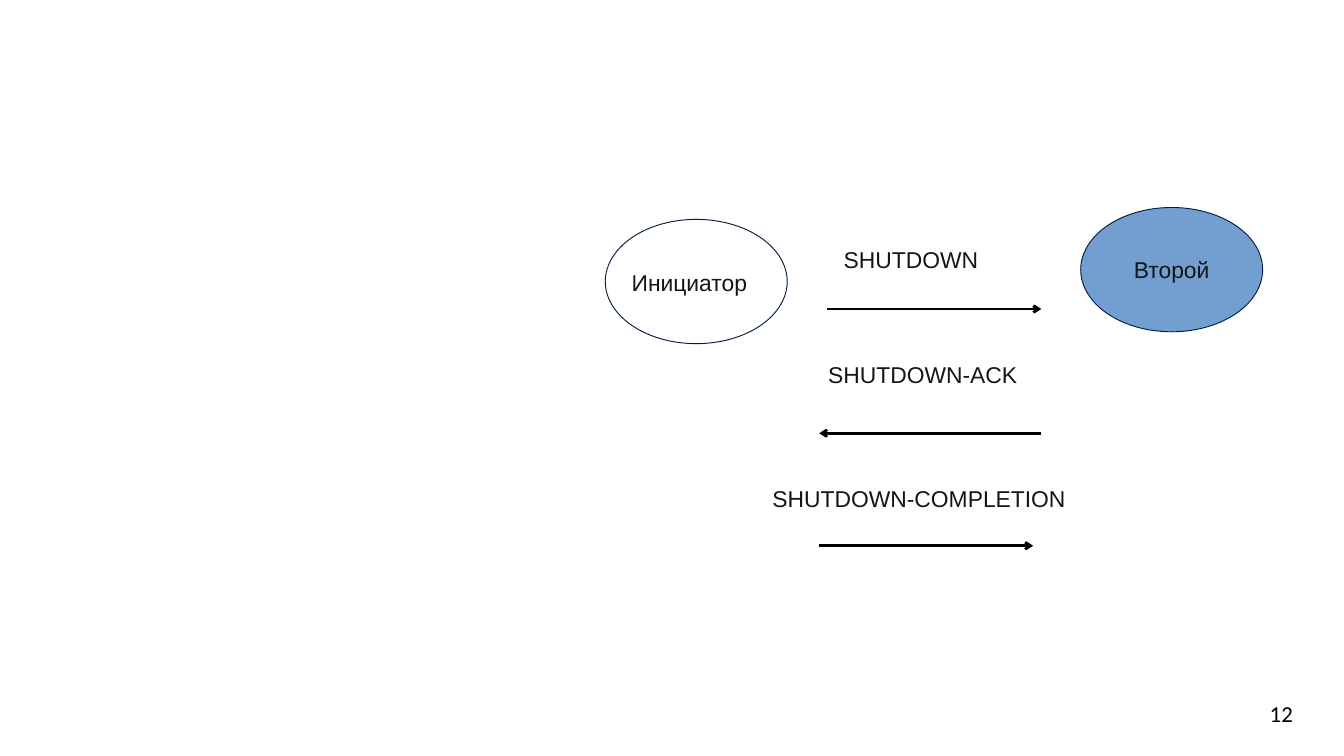
import pptx
import pptx.util
import pptx.dml.color
import pptx.enum.shapes
import pptx.enum.text
import pptx.oxml
from pptx.util import Inches

WHITE = pptx.dml.color.RGBColor(0xFF, 0xFF, 0xFF)
BLUE = pptx.dml.color.RGBColor(0x72, 0x9F, 0xCF)
NAVY = pptx.dml.color.RGBColor(0x00, 0x1E, 0x47)
INK = pptx.dml.color.RGBColor(0x13, 0x15, 0x19)
BLACK = pptx.dml.color.RGBColor(0, 0, 0)
ALIGN = pptx.enum.text.PP_ALIGN
MIDDLE = pptx.enum.text.MSO_ANCHOR.MIDDLE


def write(shape, text, alignment=ALIGN.LEFT, font_name="Arial", color=INK):
    shape.text_frame.word_wrap = True
    paragraph = shape.text_frame.paragraphs[0]
    paragraph.text = text
    paragraph.alignment = alignment
    paragraph.font.name = font_name
    paragraph.font.size = pptx.util.Pt(18)
    paragraph.font.color.rgb = color


presentation = pptx.Presentation()
presentation.slide_width = Inches(14.7)
presentation.slide_height = Inches(8.27)
slide = presentation.slides.add_slide(presentation.slide_layouts[6])

page_number = slide.shapes.add_textbox(Inches(12.98), Inches(7.58), Inches(1.26), Inches(0.44))
page_number.text_frame.vertical_anchor = MIDDLE
write(page_number, "12", ALIGN.RIGHT, "Calibri", BLACK)

peers = []
for left, top, fill_color in [(6.62, 2.4, WHITE), (11.82, 2.27, BLUE)]:
    peer = slide.shapes.add_shape(
        pptx.enum.shapes.MSO_SHAPE.OVAL, Inches(left), Inches(top), Inches(1.99), Inches(1.36))
    peer.shadow.inherit = False
    peer.fill.solid()
    peer.fill.fore_color.rgb = fill_color
    peer.line.color.rgb = NAVY
    peer.line.width = 0
    peers.append(peer)

initiator, second = peers
second.text_frame.vertical_anchor = MIDDLE
write(second, "Второй", ALIGN.CENTER)

labels = [
    ("Инициатор", 6.81, 2.89, 1.62),
    ("SHUTDOWN", 9.13, 2.64, 1.85),
    ("SHUTDOWN-ACK", 8.96, 3.9, 2.52),
    ("SHUTDOWN-COMPLETION", 8.35, 5.25, 3.78),
]
for text, left, top, width in labels:
    label = slide.shapes.add_textbox(Inches(left), Inches(top), Inches(width), Inches(0.61))
    write(label, text)

for start, end, height in [(9.05, 11.39, 3.38), (11.39, 8.96, 4.74), (8.96, 11.3, 5.97)]:
    arrow = slide.shapes.add_connector(
        pptx.enum.shapes.MSO_CONNECTOR.STRAIGHT,
        Inches(start), Inches(height), Inches(end), Inches(height))
    arrow.line.color.rgb = BLACK
    arrow.line.width = 0
    properties = arrow.line._get_or_add_ln()
    tail = pptx.oxml.ns.qn("a:tailEnd")
    properties.append(properties.makeelement(tail, {"type": "arrow"}))
    effects = pptx.oxml.ns.qn("a:effectLst")
    properties.addnext(properties.makeelement(effects, {}))

presentation.save("out.pptx")
